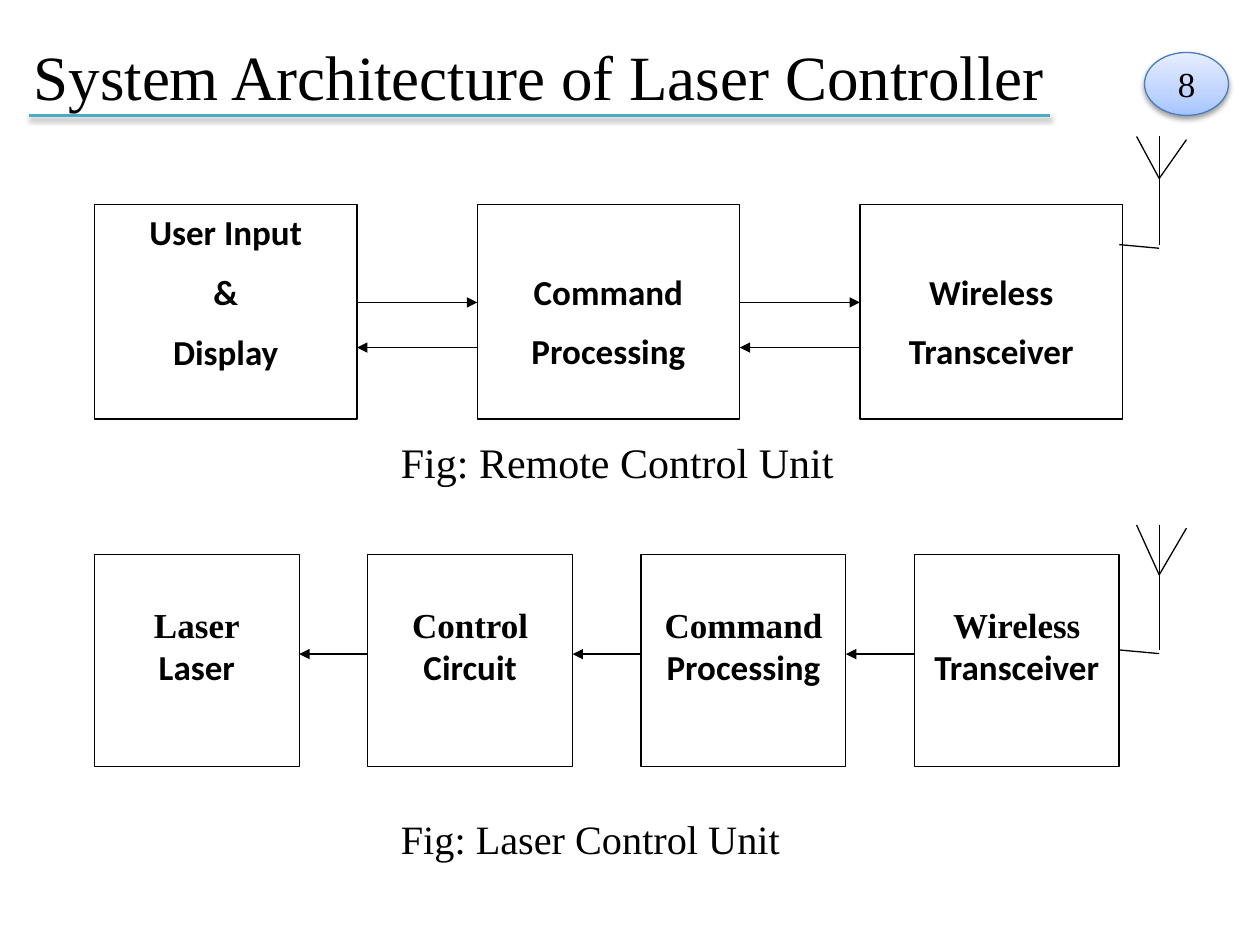
import copy

import pptx
import pptx.dml.color
import pptx.enum.shapes
import pptx.enum.text
import pptx.oxml
import pptx.oxml.ns
import pptx.util

COLUMNS, ROWS = 120, 90
CELL = pptx.util.Inches(10) // COLUMNS
SERIF, SANS = "Times New Roman", "Calibri"
BLACK, WHITE = "000000", "FFFFFF"
LEFT = pptx.enum.text.PP_ALIGN.LEFT
CENTER = pptx.enum.text.PP_ALIGN.CENTER
TOP = pptx.enum.text.MSO_ANCHOR.TOP
MIDDLE = pptx.enum.text.MSO_ANCHOR.MIDDLE
RECTANGLE = pptx.enum.shapes.MSO_SHAPE.RECTANGLE
OVAL = pptx.enum.shapes.MSO_SHAPE.OVAL
STRAIGHT = pptx.enum.shapes.MSO_CONNECTOR.STRAIGHT


def cells(*counts):
    return [round(count * CELL) for count in counts]


def color(hex_value):
    return pptx.dml.color.RGBColor.from_string(hex_value)


def put_text(shape, lines, fonts=(SERIF,), size=20, bold=False, align=LEFT,
             anchor=TOP, top_inset=0.05, gaps=(0,)):
    frame = shape.text_frame
    frame.word_wrap = True
    frame.vertical_anchor = anchor
    frame.margin_top = pptx.util.Inches(top_inset)
    for index, line in enumerate(lines):
        paragraph = frame.paragraphs[0] if index == 0 else frame.add_paragraph()
        paragraph.alignment = align
        paragraph.space_before = pptx.util.Pt(0)
        paragraph.space_after = pptx.util.Pt(gaps[index % len(gaps)])
        run = paragraph.add_run()
        run.text = line
        run.font.name = fonts[index % len(fonts)]
        run.font.size = pptx.util.Pt(size)
        run.font.bold = bold
        run.font.color.rgb = color(BLACK)


def set_effects(shape, shadow=False):
    properties = shape._element.spPr
    effects = pptx.oxml.parse_xml(
        f'<a:effectLst {pptx.oxml.ns.nsdecls("a")}>'
        + ('<a:outerShdw blurRad="40000" dist="20000" dir="5400000" rotWithShape="0">'
           '<a:srgbClr val="000000"><a:alpha val="38000"/></a:srgbClr></a:outerShdw>'
           if shadow else "")
        + "</a:effectLst>")
    properties.append(effects)


def add_line(shapes, start, end, line_color=BLACK, width=0.75, arrow=False, shadow=False):
    line = shapes.add_connector(STRAIGHT, *cells(*start, *end))
    line.line.color.rgb = color(line_color)
    line.line.width = pptx.util.Pt(width)
    if arrow:
        line.line._get_or_add_ln().append(pptx.oxml.parse_xml(
            f'<a:tailEnd {pptx.oxml.ns.nsdecls("a")} type="triangle"/>'))
    set_effects(line, shadow)


def add_block(shapes, area, lines, **text_format):
    block = shapes.add_shape(RECTANGLE, *cells(*area))
    block.shadow.inherit = False
    block.fill.solid()
    block.fill.fore_color.rgb = color(WHITE)
    block.line.color.rgb = color(BLACK)
    block.line.width = pptx.util.Pt(0.75)
    put_text(block, lines, bold=True, align=CENTER, **text_format)


def add_antenna(shapes, tip, fork, foot, tilt):
    mast = 110.4
    add_line(shapes, (106.6, foot), (mast, foot + 0.35))
    add_line(shapes, (mast, tip), (mast, foot))
    add_line(shapes, (108.25, tip), (mast, fork))
    add_line(shapes, (113, tip + tilt), (mast, fork))


def add_caption(slide, top, width, text, size):
    caption = slide.shapes.add_textbox(*cells(37, top, width, 6))
    put_text(caption, [text], size=size)


def add_page_badge(slide, number):
    badge = slide.shapes.add_shape(OVAL, *cells(109, 5, 8, 6))
    badge.fill.gradient()
    badge.fill.gradient_angle = 90
    stop_list = badge._element.spPr.find(".//" + pptx.oxml.ns.qn("a:gsLst"))
    stop_list.insert(1, copy.deepcopy(stop_list[0]))
    tints = [(0, "A4C4FF"), (0.35, "BFD4FF"), (1, "E6EEFF")]
    for stop, (position, tint) in zip(badge.fill.gradient_stops, tints):
        stop.position = position
        stop.color.rgb = color(tint)
    badge.line.color.rgb = color("4B7EBC")
    badge.line.width = pptx.util.Pt(0.75)
    set_effects(badge, shadow=True)
    put_text(badge, [number], align=CENTER, anchor=MIDDLE)


def add_remote_unit(slide):
    shapes = slide.shapes.add_group_shape().shapes
    first, pitch, width = 9, 36.45, 25
    stages = [(["User Input", "&", "Display"], 0.05),
              (["Command", "Processing"], 0.52),
              (["Wireless", "Transceiver"], 0.52)]
    for index, (lines, inset) in enumerate(stages):
        add_block(shapes, (first + index * pitch, 19.5, width, 20.4), lines,
                  fonts=(SANS,), gaps=(10,), top_inset=inset)
    add_antenna(shapes, tip=13, fork=17, foot=23.3, tilt=0.3)
    for index in range(len(stages) - 1):
        sender = first + index * pitch + width
        receiver = first + (index + 1) * pitch
        add_line(shapes, (sender, 28.8), (receiver, 28.8), arrow=True)
        add_line(shapes, (receiver, 33.1), (sender, 33.1), arrow=True)


def add_laser_unit(slide):
    shapes = slide.shapes.add_group_shape().shapes
    first, pitch, width = 9, 26.03, 19.5
    stages = [["Laser", "Laser"], ["Control", "Circuit"],
              ["Command", "Processing"], ["Wireless", "Transceiver"]]
    for index, lines in enumerate(stages):
        add_block(shapes, (first + index * pitch, 52.8, width, 20.2), lines,
                  fonts=(SERIF, SANS), gaps=(0, 10), top_inset=0.39)
    add_antenna(shapes, tip=50, fork=54.75, foot=61.9, tilt=0.3)
    for index in range(len(stages) - 1):
        receiver = first + index * pitch + width
        sender = first + (index + 1) * pitch
        add_line(shapes, (sender, 62.3), (receiver, 62.3), arrow=True)


def main():
    deck = pptx.Presentation()
    deck.slide_width, deck.slide_height = cells(COLUMNS, ROWS)
    slide = deck.slides.add_slide(deck.slide_layouts[5])
    heading = slide.shapes.title
    heading.left, heading.top, heading.width, heading.height = cells(2, 3, 104, 11)
    put_text(heading, ["System Architecture of Laser Controller"], size=36)
    add_line(slide.shapes, (2.8, 11), (100, 11), "4BACC6", 2, shadow=True)
    add_caption(slide, 77, 54, "Fig: Laser Control Unit", 23)
    add_caption(slide, 41, 48, "Fig: Remote Control Unit", 24)
    add_page_badge(slide, "8")
    add_remote_unit(slide)
    add_laser_unit(slide)
    deck.save("out.pptx")


if __name__ == "__main__":
    main()
